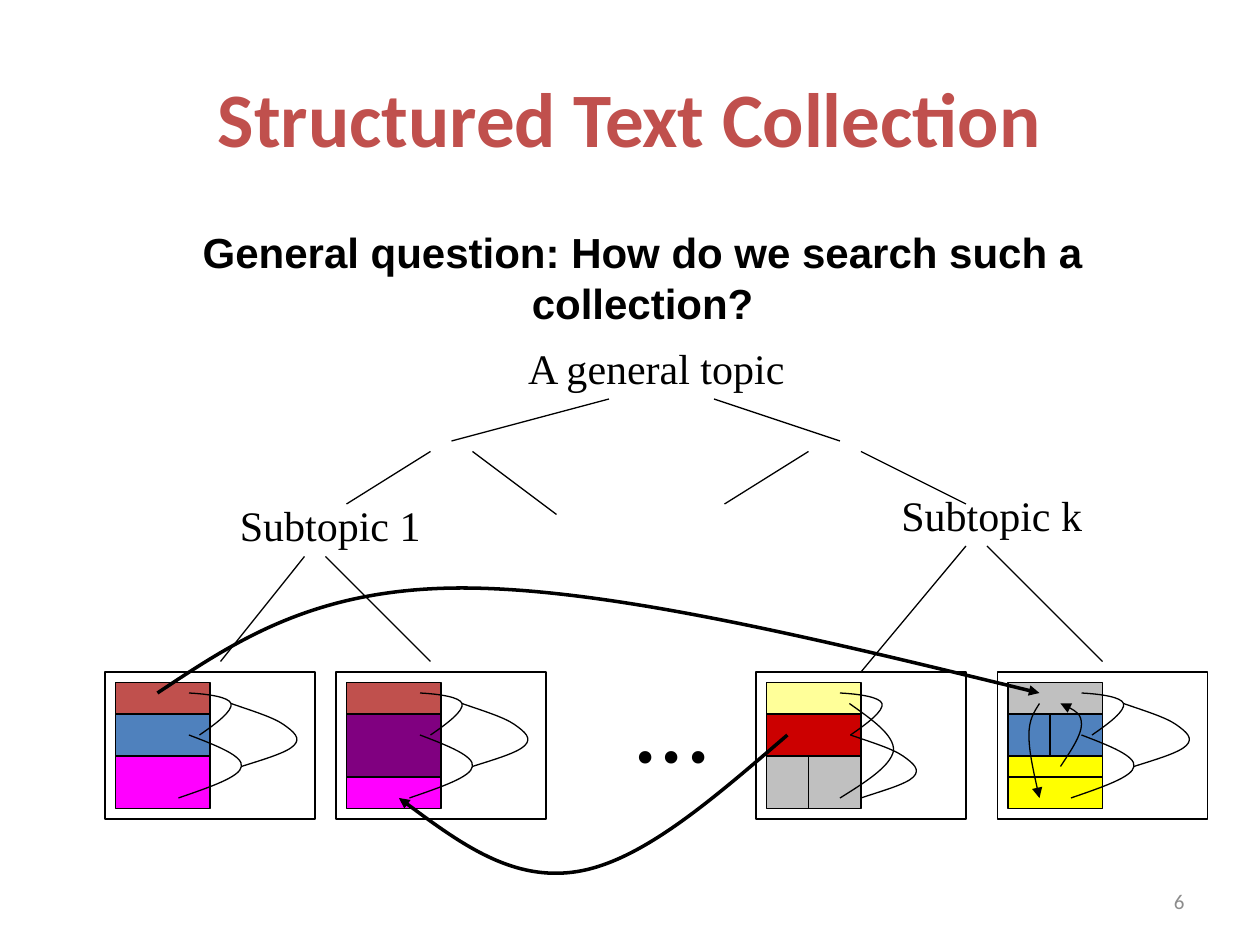
from dataclasses import dataclass
from itertools import accumulate

from lxml import etree
from pptx import Presentation
from pptx import util as u
from pptx.dml.color import RGBColor
from pptx.enum import shapes, text
from pptx.oxml.ns import qn

PX = 7620  # EMU, 120 px to the inch
BLACK = "000000"
SERIF = "Times New Roman"
CARD_TOP, CARD_WIDTH, CARD_HEIGHT = 640, 200, 140
INSET, STRIPE_WIDTH = 10, 90

Point = tuple[int, int]
Curve = list[Point]  # start, then two controls and an end per segment
Line = tuple[int, int, int, int]


@dataclass
class Label:
    wording: str
    left: int
    top: int
    width: int
    height: int
    size: int = 24
    font: str = SERIF
    color: str = BLACK
    bold: bool = False
    align: text.PP_ALIGN = text.PP_ALIGN.CENTER
    anchor: text.MSO_ANCHOR = text.MSO_ANCHOR.TOP
    wrap: bool = False
    side_margin: int = 12


@dataclass
class Stripe:
    color: str
    height: int


@dataclass
class Card:
    """A document; its curves and dividers are relative to its corner."""
    left: int
    stripes: list[Stripe]
    links: list[Curve]
    dividers: tuple[Line, ...] = ()
    arrows: tuple[Curve, ...] = ()


TOP_LINK = [(80, 20), (99, 21), (118, 24), (120, 30), (122, 37), (106, 49), (90, 60)]
LOW_LINK = [(80, 60), (106, 70), (132, 80), (130, 90), (129, 100), (99, 110), (70, 120)]
OUTER_LINK = [(120, 30), (140, 37), (160, 43), (170, 50), (180, 57), (187, 63),
              (180, 70), (173, 77), (152, 83), (130, 90)]
NESTED_LINKS = [TOP_LINK, LOW_LINK, OUTER_LINK]
CROSSED_LINKS = [
    TOP_LINK,
    [(89, 30), (110, 45), (132, 60), (131, 75), (128, 90), (104, 105), (80, 120)],
    [(90, 60), (110, 67), (130, 73), (140, 80), (150, 87), (157, 93),
     (150, 100), (143, 107), (121, 113), (100, 120)],
]

CARDS = [
    Card(100, [Stripe("C0504D", 30), Stripe("4F81BD", 40), Stripe("FF00FF", 50)],
         NESTED_LINKS),
    Card(320, [Stripe("C0504D", 30), Stripe("800080", 60), Stripe("FF00FF", 30)],
         NESTED_LINKS),
    Card(720, [Stripe("FFFF99", 30), Stripe("CC0000", 40), Stripe("C0C0C0", 50)],
         CROSSED_LINKS, dividers=((50, 80, 50, 130),)),
    Card(950, [Stripe("C0C0C0", 30), Stripe("4F81BD", 40), Stripe("FFFF00", 50)],
         NESTED_LINKS, dividers=((50, 40, 50, 80), (10, 100, 100, 100)),
         arrows=([(40, 30), (35, 38), (30, 45), (30, 60), (30, 75), (35, 98), (40, 120)],
                 [(60, 90), (70, 75), (80, 60), (80, 50), (80, 40), (70, 34), (60, 30)])),
]

BRANCHES: list[Line] = [
    (580, 380, 430, 420), (680, 380, 800, 420),
    (410, 430, 330, 480), (450, 430, 530, 490),
    (770, 430, 690, 480), (820, 430, 920, 480),
    (290, 530, 210, 630), (310, 530, 410, 630),
    (920, 520, 820, 640), (940, 520, 1050, 630),
]

CROSS_REFERENCES: list[Curve] = [
    [(150, 660), (225, 610), (300, 560), (440, 560), (580, 560), (785, 610), (990, 660)],
    [(750, 700), (680, 760), (612, 820), (550, 830), (488, 840), (434, 800), (380, 760)],
]

LABELS = [
    Label("Structured Text Collection", 60, 36, 1080, 150, 44, "Calibri", "C0504D",
          bold=True, anchor=text.MSO_ANCHOR.MIDDLE, wrap=True),
    Label("General question: How do we search such a collection?", 70, 210, 1084, 60,
          font="Arial", bold=True, wrap=True, side_margin=40),
    Label("A general topic", 490, 320, 270, 60),
    Label("Subtopic 1", 216, 470, 197, 60),
    Label("Subtopic k", 846, 460, 197, 60),
    Label("...", 590, 620, 100, 132, 60),
    Label("6", 860, 834, 280, 48, 12, "Calibri", "8C8C8C",
          align=text.PP_ALIGN.RIGHT, anchor=text.MSO_ANCHOR.MIDDLE, wrap=True),
]


def rgb(color: str) -> RGBColor:
    return RGBColor.from_string(color)


def emu(*lengths: int) -> list[int]:
    return [length * PX for length in lengths]


def style_line(line, points: float = 0.75) -> None:
    line.color.rgb = rgb(BLACK)
    line.width = u.Pt(points)


def draw_label(slide, label: Label) -> None:
    box = slide.shapes.add_textbox(*emu(label.left, label.top, label.width, label.height))
    frame = box.text_frame
    frame.text = label.wording
    frame.word_wrap = label.wrap
    frame.vertical_anchor = label.anchor
    frame.margin_left = frame.margin_right = label.side_margin * PX
    paragraph = frame.paragraphs[0]
    paragraph.alignment = label.align
    font = paragraph.runs[0].font
    font.name, font.size, font.bold = label.font, u.Pt(label.size), label.bold
    font.color.rgb = rgb(label.color)


def draw_rectangle(slide, left: int, top: int, width: int, height: int,
                   color: str | None = None) -> None:
    box = slide.shapes.add_shape(shapes.MSO_SHAPE.RECTANGLE, *emu(left, top, width, height))
    box.shadow.inherit = False
    style_line(box.line)
    if color:
        box.fill.solid()
        box.fill.fore_color.rgb = rgb(color)
    else:
        box.fill.background()


def draw_line(slide, ends: Line) -> None:
    line = slide.shapes.add_connector(shapes.MSO_CONNECTOR.STRAIGHT, *emu(*ends))
    style_line(line.line)
    etree.SubElement(line._element.spPr, qn("a:effectLst"))


def draw_curve(slide, points: Curve, left: int = 0, top: int = 0,
               width: float = 0.75, arrow: bool = False) -> None:
    """Draw a chain of cubic Bézier segments."""
    start, *rest = [(left + x, top + y) for x, y in points]
    builder = slide.shapes.build_freeform(*start, scale=PX)
    builder.add_line_segments(rest, close=False)
    curve = builder.convert_to_shape()
    curve.shadow.inherit = False
    curve.fill.background()
    style_line(curve.line, width)

    straight = list(curve._element.iter(qn("a:lnTo")))
    for first in range(0, len(straight), 3):
        bezier = etree.Element(qn("a:cubicBezTo"))
        straight[first].addprevious(bezier)
        for step in straight[first:first + 3]:
            bezier.append(step[0])
            step.getparent().remove(step)
    if arrow:
        etree.SubElement(curve.line._get_or_add_ln(), qn("a:tailEnd"), type="triangle")


def draw_card(slide, card: Card) -> None:
    draw_rectangle(slide, card.left, CARD_TOP, CARD_WIDTH, CARD_HEIGHT)
    tops = accumulate((stripe.height for stripe in card.stripes), initial=CARD_TOP + INSET)
    for stripe, top in zip(card.stripes, tops):
        draw_rectangle(slide, card.left + INSET, top, STRIPE_WIDTH, stripe.height, stripe.color)
    for x1, y1, x2, y2 in card.dividers:
        draw_line(slide, (card.left + x1, CARD_TOP + y1, card.left + x2, CARD_TOP + y2))
    for link in card.links:
        draw_curve(slide, link, card.left, CARD_TOP)
    for arrow in card.arrows:
        draw_curve(slide, arrow, card.left, CARD_TOP, arrow=True)


def main() -> None:
    deck = Presentation()
    deck.slide_width, deck.slide_height = emu(1200, 900)
    slide = deck.slides.add_slide(deck.slide_layouts[6])
    for card in CARDS:
        draw_card(slide, card)
    for branch in BRANCHES:
        draw_line(slide, branch)
    for reference in CROSS_REFERENCES:
        draw_curve(slide, reference, width=2, arrow=True)
    for label in LABELS:
        draw_label(slide, label)
    deck.save("out.pptx")


if __name__ == "__main__":
    main()
